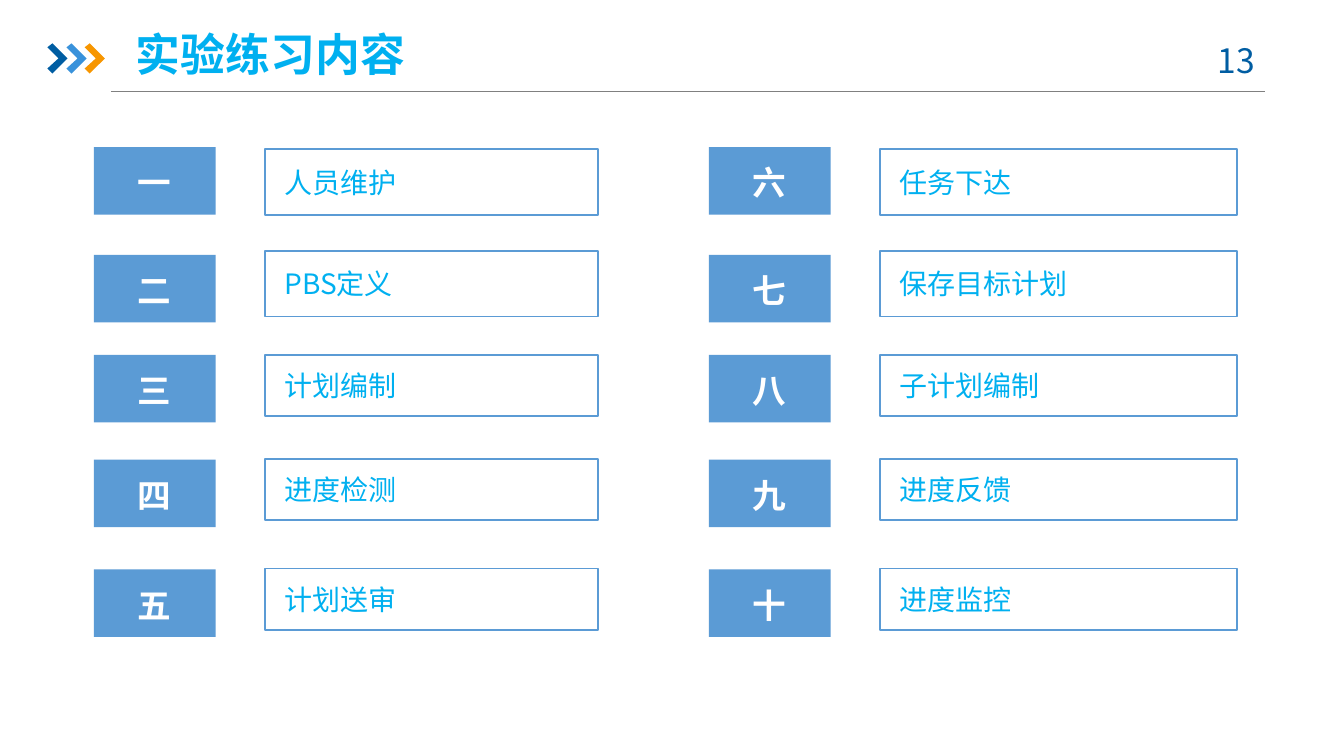
from lxml import etree
from pptx import Presentation
from pptx.dml.color import RGBColor
from pptx.enum.shapes import MSO_CONNECTOR, MSO_SHAPE
from pptx.enum.text import MSO_ANCHOR, PP_ALIGN
from pptx.oxml.ns import qn
from pptx.util import Pt

PX = 9144  # 100 px to the inch
FONT = "Noto Sans CJK SC"
RECTANGLE = MSO_SHAPE.RECTANGLE
STRAIGHT = MSO_CONNECTOR.STRAIGHT
TOP, MIDDLE = MSO_ANCHOR.TOP, MSO_ANCHOR.MIDDLE
LEFT, CENTER = PP_ALIGN.LEFT, PP_ALIGN.CENTER

NAVY = RGBColor(0x00, 0x5D, 0xA2)
BLUE = RGBColor(0x39, 0x92, 0xDB)
ORANGE = RGBColor(0xF7, 0x96, 0x00)
SKY = RGBColor(0x00, 0xB0, 0xF0)
STEEL = RGBColor(0x5B, 0x9B, 0xD5)
GRAY = RGBColor(0x80, 0x80, 0x80)
WHITE = RGBColor(0xFF, 0xFF, 0xFF)


def write(shape, text, size, color, bold=False, align=LEFT, anchor=MIDDLE):
    frame = shape.text_frame
    frame.word_wrap = True
    frame.vertical_anchor = anchor
    para = frame.paragraphs[0]
    para.text = text
    para.alignment = align
    font = para.font
    font.name, font.size, font.bold = FONT, Pt(size), bold
    font.color.rgb = color
    defaults = para._p.pPr.find(qn("a:defRPr"))
    etree.SubElement(defaults, qn("a:ea")).set("typeface", FONT)
    return para


def add_rectangle(left, top, width, height):
    box = page.shapes.add_shape(RECTANGLE, left * PX, top * PX, width * PX, height * PX)
    box.shadow.inherit = False
    return box


deck = Presentation()
deck.slide_width, deck.slide_height = 1333 * PX, 750 * PX
page = deck.slides.add_slide(deck.slide_layouts[6])

# Header rule
rule = page.shapes.add_connector(STRAIGHT, 110 * PX, 91 * PX, 1255 * PX, 91 * PX)
rule.line.color.rgb = GRAY
rule.line.width = Pt(0.5)
etree.SubElement(rule._element.spPr, qn("a:effectLst"))

# Three chevrons
CHEVRON = [(0, 47), (5, 43), (20, 58), (5, 73), (0, 68), (11, 58)]
for left, color in ((47, NAVY), (66, BLUE), (84, ORANGE)):
    points = [(left + x, y) for x, y in CHEVRON]
    builder = page.shapes.build_freeform(*points[0], scale=PX)
    builder.add_line_segments(points[1:], close=True)
    chevron = builder.convert_to_shape()
    chevron.shadow.inherit = False
    chevron.fill.solid()
    chevron.fill.fore_color.rgb = color
    chevron.line.fill.background()

# Page number and title
number = page.shapes.add_textbox(1177 * PX, 35 * PX, 98 * PX, 50 * PX)
write(number, "13", 24, NAVY, align=CENTER, anchor=TOP)
title = page.shapes.add_textbox(125 * PX, 29 * PX, 552 * PX, 55 * PX)
write(title, "实验练习内容", 32, SKY, bold=True).line_spacing = 0.9

# Exercises: label tops, then top and height of the topic boxes
ROWS = [(146, 148, 65), (253, 249, 65), (352, 352, 61), (456, 455, 61), (565, 564, 61)]
# Label left, topic left, topic width, exercises
COLUMNS = [
    (93, 263, 330, [("一", "人员维护"), ("二", "PBS定义"), ("三", "计划编制"),
                    ("四", "进度检测"), ("五", "计划送审")]),
    (703, 873, 354, [("六", "任务下达"), ("七", "保存目标计划"), ("八", "子计划编制"),
                     ("九", "进度反馈"), ("十", "进度监控")]),
]
for label_left, topic_left, topic_width, exercises in COLUMNS:
    for (label_top, topic_top, topic_height), (numeral, topic) in zip(ROWS, exercises):
        label = add_rectangle(label_left, label_top, 121, 67)
        label.fill.solid()
        label.fill.fore_color.rgb = STEEL
        label.line.fill.background()
        label.text_frame.margin_top = 8 * PX
        write(label, numeral, 24, WHITE, bold=True, align=CENTER)

        box = add_rectangle(topic_left, topic_top, topic_width, topic_height)
        box.fill.background()
        box.line.color.rgb = STEEL
        box.line.width = Pt(1.25)
        box.text_frame.margin_left = 19 * PX
        write(box, topic, 20, SKY)

deck.save("out.pptx")
